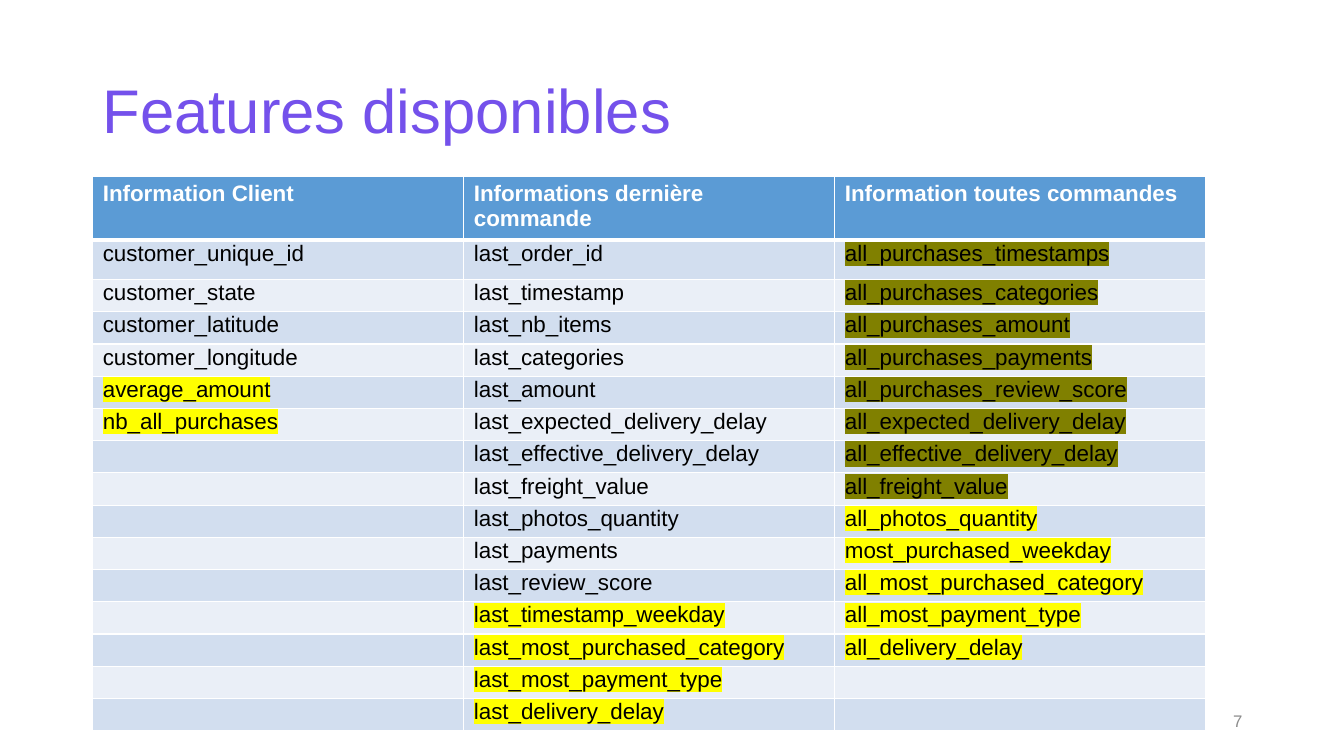
from itertools import zip_longest

from lxml import etree
from pptx import Presentation
from pptx import util as u
from pptx.dml.color import RGBColor
from pptx.enum import text
from pptx.oxml.ns import qn

TITLE = "Features disponibles"
PAGE_NUMBER = "7"
FONT = "Arial"
COLORS = {
    "title": "7451EB", "number": "8C8C8C", "header": "5B9BD5", "white": "FFFFFF",
    "black": "000000", "odd": "D2DEEF", "even": "EAEFF7",
    "source": "808000", "derived": "FFFF00",
}

# Each column: heading, then groups of (highlight, features)
COLUMNS = [
    ("Information Client", [
        (None, ["customer_unique_id", "customer_state", "customer_latitude",
                "customer_longitude"]),
        ("derived", ["average_amount", "nb_all_purchases"]),
    ]),
    ("Informations dernière commande", [
        (None, ["last_order_id", "last_timestamp", "last_nb_items", "last_categories",
                "last_amount", "last_expected_delivery_delay",
                "last_effective_delivery_delay", "last_freight_value",
                "last_photos_quantity", "last_payments", "last_review_score"]),
        ("derived", ["last_timestamp_weekday", "last_most_purchased_category",
                     "last_most_payment_type", "last_delivery_delay"]),
    ]),
    ("Information toutes commandes", [
        ("source", ["all_purchases_timestamps", "all_purchases_categories",
                    "all_purchases_amount", "all_purchases_payments",
                    "all_purchases_review_score", "all_expected_delivery_delay",
                    "all_effective_delivery_delay", "all_freight_value"]),
        ("derived", ["all_photos_quantity", "most_purchased_weekday",
                     "all_most_purchased_category", "all_most_payment_type",
                     "all_delivery_delay"]),
    ]),
]

LEFT, TABLE_TOP = 0.92, 1.75
COLUMN_WIDTH, ROW_HEIGHT, FIRST_FEATURE_HEIGHT = 3.68, 0.32, 0.39
TEXT_SIZE = 16


def format_run(run, size, color, bold=False):
    run.font.name = FONT
    run.font.size = u.Pt(size)
    run.font.bold = bold
    run.font.color.rgb = RGBColor.from_string(COLORS[color])


def add_text(slide, box, content, size, color, alignment):
    shape = slide.shapes.add_textbox(*(u.Inches(length) for length in box))
    frame = shape.text_frame
    frame.word_wrap = True
    frame.vertical_anchor = text.MSO_ANCHOR.MIDDLE
    frame.text = content
    paragraph = frame.paragraphs[0]
    paragraph.alignment = alignment
    format_run(paragraph.runs[0], size, color)
    return paragraph


def highlight_run(run, color):
    """Put the highlight right after the text fill, as the schema requires."""
    highlight = etree.Element(qn("a:highlight"))
    etree.SubElement(highlight, qn("a:srgbClr"), val=COLORS[color])
    run.font._element.find(qn("a:solidFill")).addnext(highlight)


def set_borders(cell, widths):
    """Draw white borders; widths are points for left, right, top, bottom."""
    properties = cell._tc.get_or_add_tcPr()
    for position, (side, width) in enumerate(zip("LRTB", widths)):
        line = etree.Element(qn(f"a:ln{side}"), w=str(u.Pt(width)))
        fill = etree.SubElement(line, qn("a:solidFill"))
        etree.SubElement(fill, qn("a:srgbClr"), val=COLORS["white"])
        properties.insert(position, line)


def fill_cell(cell, content, fill, color, bold=False, highlight=None):
    cell.fill.solid()
    cell.fill.fore_color.rgb = RGBColor.from_string(COLORS[fill])
    paragraph = cell.text_frame.paragraphs[0]
    if not content:
        # An empty cell takes its line height from the end mark
        etree.SubElement(paragraph._p, qn("a:endParaRPr"), sz=str(TEXT_SIZE * 100))
        return
    paragraph.text = content
    format_run(paragraph.runs[0], TEXT_SIZE, color, bold)
    if highlight:
        highlight_run(paragraph.runs[0], highlight)


def add_feature_table(slide):
    features = [[(name, mark) for mark, names in groups for name in names]
                for _, groups in COLUMNS]
    rows = list(zip_longest(*features, fillvalue=("", None)))
    heights = [ROW_HEIGHT, FIRST_FEATURE_HEIGHT] + [ROW_HEIGHT] * (len(rows) - 1)
    table = slide.shapes.add_table(
        len(heights), len(COLUMNS), u.Inches(LEFT), u.Inches(TABLE_TOP),
        u.Inches(COLUMN_WIDTH * len(COLUMNS)), u.Inches(sum(heights))).table
    for column in table.columns:
        column.width = u.Inches(COLUMN_WIDTH)
    for row, height in zip(table.rows, heights):
        row.height = u.Inches(height)

    for cell, (heading, _) in zip(table.rows[0].cells, COLUMNS):
        fill_cell(cell, heading, "header", "white", bold=True)
        set_borders(cell, (1, 1, 1, 3))
    for number, row in enumerate(rows, start=1):
        for cell, (name, mark) in zip(table.rows[number].cells, row):
            cell.margin_top = cell.margin_bottom = u.Inches(0.01)
            fill_cell(cell, name, "odd" if number % 2 else "even", "black",
                      highlight=mark)
            set_borders(cell, (1, 1, 3 if number == 1 else 1, 1))


def main():
    presentation = Presentation()
    presentation.slide_width = u.Inches(13.33)
    presentation.slide_height = u.Inches(7.5)
    slide = presentation.slides.add_slide(presentation.slide_layouts[6])
    title = add_text(slide, (LEFT, 0.4, 11.5, 1.45), TITLE, 44, "title",
                     text.PP_ALIGN.LEFT)
    title.line_spacing = 0.9
    add_text(slide, (9.42, 6.95, 3, 0.4), PAGE_NUMBER, 12, "number",
             text.PP_ALIGN.RIGHT)
    add_feature_table(slide)
    presentation.save("out.pptx")


if __name__ == "__main__":
    main()
